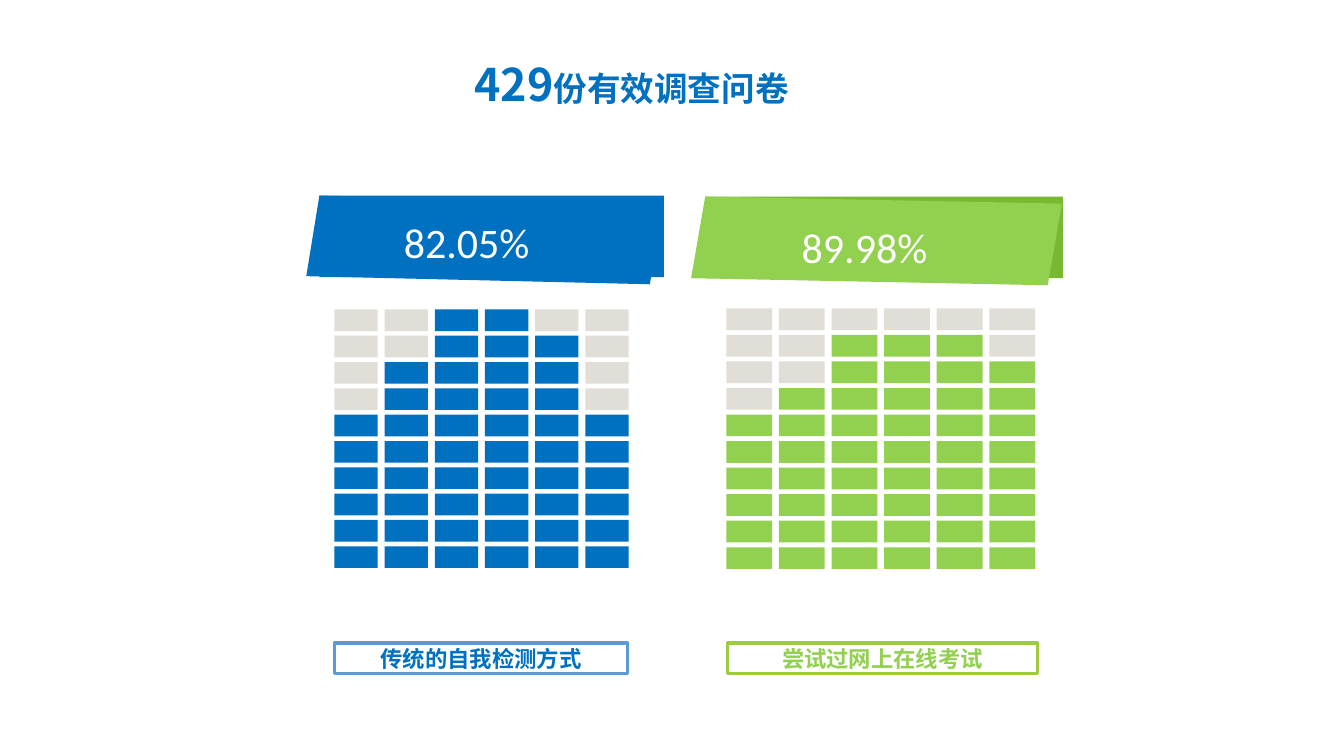
"""Build a slide comparing two survey shares as block columns under ribbon banners."""
from dataclasses import dataclass

from lxml import etree
from pptx import Presentation
from pptx.dml.color import RGBColor
from pptx.enum.shapes import MSO_SHAPE
from pptx.enum.text import MSO_ANCHOR, PP_ALIGN
from pptx.oxml.ns import qn
from pptx.util import Inches, Pt

RECTANGLE = MSO_SHAPE.RECTANGLE
TOP, MIDDLE = MSO_ANCHOR.TOP, MSO_ANCHOR.MIDDLE
LEFT, CENTER = PP_ALIGN.LEFT, PP_ALIGN.CENTER


@dataclass(frozen=True)
class Theme:
    blue: str = "0070C0"
    blue_outline: str = "5B9BD5"
    green: str = "92D050"
    green_shade: str = "78B832"
    green_outline: str = "9FCC3E"
    empty: str = "E0DED6"
    white: str = "FFFFFF"
    latin_font: str = "Calibri"
    chinese_font: str = "Noto Sans CJK SC"
    count_size: int = 32
    share_size: int = 30
    title_size: int = 24
    label_size: int = 16
    outline_width: float = 2.25


THEME = Theme()
TITLE_BOX = (4.61, 0.51, 5.24, 0.64)
TITLE = [("429", THEME.count_size), ("份有效调查问卷", THEME.title_size)]
ROWS = 10
BLOCK_HEIGHT = 0.215
PANELS = [
    {
        "share": "82.05%", "share_box": (3.91, 2.1, 3.3, 0.6),
        "label": "传统的自我检测方式", "label_box": (3.32, 6.38, 2.91, 0.3),
        "filled": [6, 8, 10, 10, 9, 6],
        "grid": (3.32, 3.07, 5.81, 5.42), "block_width": 0.43,
        "banner": (3.17, 1.94, 3.42, 0.81),
        "ribbon": [(6.45, 2.82), (3.04, 2.74), (3.17, 1.94), (6.59, 2.01)],
        "color": THEME.blue, "shade": THEME.blue, "outline": THEME.blue_outline,
    },
    {
        "share": "89.98%", "share_box": (7.86, 2.15, 3.2, 0.6),
        "label": "尝试过网上在线考试", "label_box": (7.22, 6.38, 3.08, 0.3),
        "filled": [6, 7, 9, 9, 9, 8],
        "grid": (7.21, 3.06, 9.82, 5.43), "block_width": 0.455,
        "banner": (7, 1.95, 3.55, 0.81),
        "ribbon": [(10.4, 2.83), (6.86, 2.76), (7, 1.95), (10.54, 2.02)],
        "color": THEME.green, "shade": THEME.green_shade, "outline": THEME.green_outline,
    },
]


def paint(shape, fill=None, outline=None):
    shape.shadow.inherit = False
    if fill:
        shape.fill.solid()
        shape.fill.fore_color.rgb = RGBColor.from_string(fill)
    else:
        shape.fill.background()
    if outline:
        shape.line.color.rgb = RGBColor.from_string(outline)
        shape.line.width = Pt(THEME.outline_width)
    else:
        shape.line.fill.background()


def add_rectangle(shapes, box, fill=None, outline=None):
    shape = shapes.add_shape(RECTANGLE, *map(Inches, box))
    paint(shape, fill, outline)
    return shape


def write(shape, runs, color, font, bold=False, align=LEFT, anchor=TOP, insets=(0.1, 0.05)):
    frame = shape.text_frame
    frame.word_wrap = True
    frame.vertical_anchor = anchor
    frame.margin_left = frame.margin_right = Inches(insets[0])
    frame.margin_top = frame.margin_bottom = Inches(insets[1])
    paragraph = frame.paragraphs[0]
    paragraph.alignment = align
    for text, size in runs:
        run = paragraph.add_run()
        run.text = text
        run.font.name = font
        run.font.size = Pt(size)
        run.font.bold = bold
        run.font.color.rgb = RGBColor.from_string(color)
        etree.SubElement(run._r.get_or_add_rPr(), qn("a:ea"), typeface=font)


def add_blocks(shapes, panel):
    left, top, last_left, last_top = panel["grid"]
    column_step = (last_left - left) / (len(panel["filled"]) - 1)
    row_step = (last_top - top) / (ROWS - 1)
    for column, filled in enumerate(panel["filled"]):
        for row in range(ROWS):
            color = panel["color"] if row >= ROWS - filled else THEME.empty
            box = (left + column * column_step, top + row * row_step,
                   panel["block_width"], BLOCK_HEIGHT)
            add_rectangle(shapes, box, color)


def add_banner(shapes, panel):
    add_rectangle(shapes, panel["banner"], panel["shade"])
    start, *corners = [(Inches(x), Inches(y)) for x, y in panel["ribbon"]]
    builder = shapes.build_freeform(*start)
    builder.add_line_segments(corners, close=True)
    paint(builder.convert_to_shape(), panel["color"])
    share = shapes.add_textbox(*map(Inches, panel["share_box"]))
    write(share, [(panel["share"], THEME.share_size)], THEME.white, THEME.latin_font)


def main():
    presentation = Presentation()
    presentation.slide_width = Inches(13.34)
    presentation.slide_height = Inches(7.5)
    slide = presentation.slides.add_slide(presentation.slide_layouts[6])

    for panel in PANELS:
        group = slide.shapes.add_group_shape()
        add_blocks(group.shapes, panel)
        add_banner(group.shapes, panel)
        label = add_rectangle(slide.shapes, panel["label_box"], outline=panel["outline"])
        write(label, [(panel["label"], THEME.label_size)], panel["color"],
              THEME.chinese_font, True, CENTER, MIDDLE, (0.03, 0.02))

    title = slide.shapes.add_textbox(*map(Inches, TITLE_BOX))
    write(title, TITLE, THEME.blue, THEME.chinese_font, True)
    presentation.save("out.pptx")


if __name__ == "__main__":
    main()
